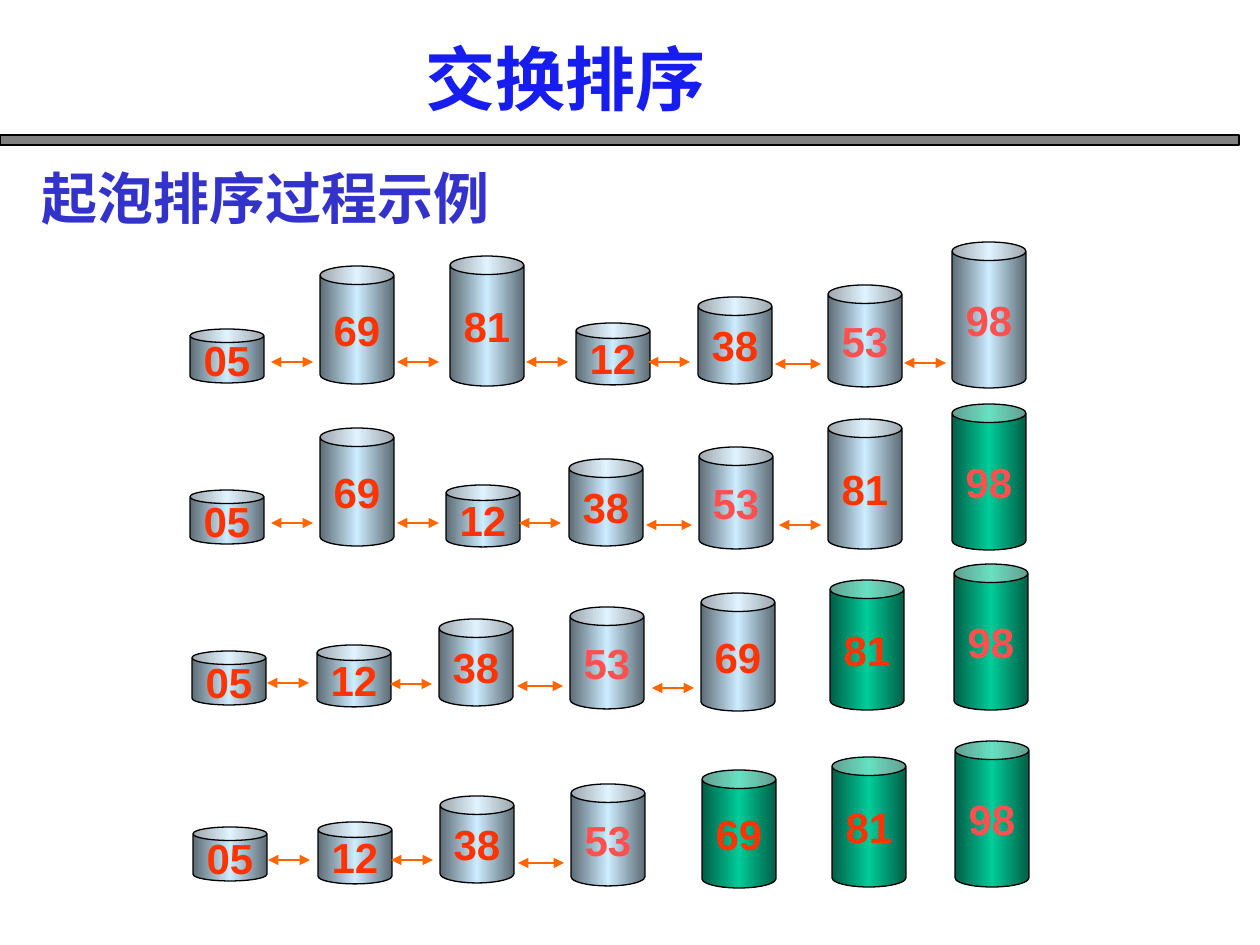
"""Build a slide that shows four passes of bubble sort as rows of cylinders."""
from copy import deepcopy

from lxml.etree import SubElement
from pptx import Presentation
from pptx.dml.color import RGBColor
from pptx.enum.shapes import MSO_CONNECTOR as CONN, MSO_SHAPE as SHAPE
from pptx.enum.text import MSO_ANCHOR as ANCHOR, PP_ALIGN as ALIGN
from pptx.oxml.ns import qn
from pptx.util import Pt

PX = 914400 / 126
COLORS = {
    "title": "171CEF", "subtitle": "3333CC", "shadow": "808080",
    "bar": "808080", "outline": "000000", "arrow": "FF6600",
    "number": "FF3300", "pink": "FF5050",
}
UNSORTED = ("5E6C75", "CCECFF", "5E6C75")
SORTED = ("005E46", "00CC99", "005E46")
CJK, LATIN = "Noto Sans CJK SC", "Arial"

HEADINGS = [
    ("交换排序", (413, 39, 399, 97), 40, "title", ANCHOR.TOP, 6),
    ("起泡排序过程示例", (29, 156, 693, 76), 32, "subtitle", ANCHOR.BOTTOM, 0),
]
CAN_WIDTH = 74
CAN_HEIGHTS = {"05": 54, "12": 62, "38": 87, "53": 102, "69": 118, "81": 130, "98": 146}
PINK_VALUES = {"53", "98"}

PASSES = [
    {"cans": [("05", 190, 329), ("69", 320, 266), ("81", 450, 256), ("12", 576, 323),
              ("38", 698, 297), ("53", 828, 285), ("98", 952, 242)],
     "arrows": [(271, 362), (397, 362), (526, 362), (648, 362), (775, 364), (904, 363)],
     "sorted": 0},
    {"cans": [("05", 190, 490), ("69", 320, 428), ("12", 446, 485), ("38", 569, 459),
              ("53", 699, 447), ("81", 828, 419), ("98", 952, 404)],
     "arrows": [(271, 523), (397, 523), (519, 523), (646, 525), (779, 525)],
     "sorted": 1},
    {"cans": [("05", 192, 651), ("12", 317, 645), ("38", 439, 619), ("53", 570, 607),
              ("69", 701, 593), ("81", 830, 580), ("98", 954, 564)],
     "arrows": [(267, 683), (390, 684), (517, 686), (652, 688)],
     "sorted": 2},
    {"cans": [("05", 193, 827), ("12", 318, 822), ("38", 440, 796), ("53", 571, 784),
              ("69", 702, 770), ("81", 832, 757), ("98", 955, 741)],
     "arrows": [(268, 860), (391, 860), (518, 863)],
     "sorted": 3},
]


def px(*values):
    return [round(v * PX) for v in values]


def rgb(key):
    return RGBColor.from_string(COLORS.get(key, key))


def set_font(p, name, size, color):
    p.font.name, p.font.size, p.font.bold = name, Pt(size), True
    p.font.color.rgb = rgb(color)


def add_shape(s, kind, box):
    sp = s.shapes.add_shape(kind, *px(*box))
    sp.shadow.inherit = False
    sp.line.color.rgb = rgb("outline")
    sp.line.width = Pt(0.75)
    return sp


def add_heading(s, text, box, size, color, anchor, inset):
    tf = s.shapes.add_textbox(*px(*box)).text_frame
    tf.word_wrap = True
    tf.vertical_anchor = anchor
    tf.margin_top, tf.margin_bottom = px(inset, inset)
    p = tf.paragraphs[0]
    p.line_spacing = 0.9
    r = p.add_run()
    r.text = text
    set_font(p, CJK, size, color)
    SubElement(p.font._element, qn("a:ea"), typeface=CJK)
    effects = SubElement(r._r.get_or_add_rPr(), qn("a:effectLst"))
    shadow = SubElement(effects, qn("a:outerShdw"), dist="35921", dir="2700000")
    SubElement(shadow, qn("a:srgbClr"), val=COLORS["shadow"])


def add_can(s, value, left, top, shades):
    sp = add_shape(s, SHAPE.CAN, (left, top, CAN_WIDTH, CAN_HEIGHTS[value]))
    sp.fill.gradient()
    sp.fill.gradient_angle = 0
    stops = sp._element.spPr.find(qn("a:gradFill")).find(qn("a:gsLst"))
    stops.append(deepcopy(stops[-1]))
    for stop, position, shade in zip(sp.fill.gradient_stops, (0, 0.5, 1), shades):
        stop.position = position
        stop.color.rgb = rgb(shade)
    tf = sp.text_frame
    tf.word_wrap = False
    tf.vertical_anchor = ANCHOR.MIDDLE
    p = tf.paragraphs[0]
    p.text = value
    p.alignment = ALIGN.CENTER
    set_font(p, LATIN, 24, "pink" if value in PINK_VALUES else "number")


def add_arrow(s, left, y, length):
    cx = s.shapes.add_connector(CONN.STRAIGHT, *px(left, y, left + length, y))
    cx.line.color.rgb = rgb("arrow")
    cx.line.width = Pt(1.5)
    ln = cx.line._get_or_add_ln()
    for end in ("a:headEnd", "a:tailEnd"):
        SubElement(ln, qn(end), type="triangle")
    SubElement(cx._element.spPr, qn("a:effectLst"))


def main():
    prs = Presentation()
    prs.slide_width, prs.slide_height = px(1260, 945)
    s = prs.slides.add_slide(prs.slide_layouts[6])
    bar = add_shape(s, SHAPE.RECTANGLE, (0, 135, 1239, 10))
    bar.fill.solid()
    bar.fill.fore_color.rgb = rgb("bar")
    for heading in HEADINGS:
        add_heading(s, *heading)
    for row in PASSES:
        first_sorted = len(row["cans"]) - row["sorted"]
        for i, can in enumerate(row["cans"]):
            add_can(s, *can, SORTED if i >= first_sorted else UNSORTED)
        for (value, _, _), (left, y) in zip(row["cans"], row["arrows"]):
            add_arrow(s, left, y, 46 if value == "38" else 42)
    prs.save("out.pptx")


if __name__ == "__main__":
    main()
